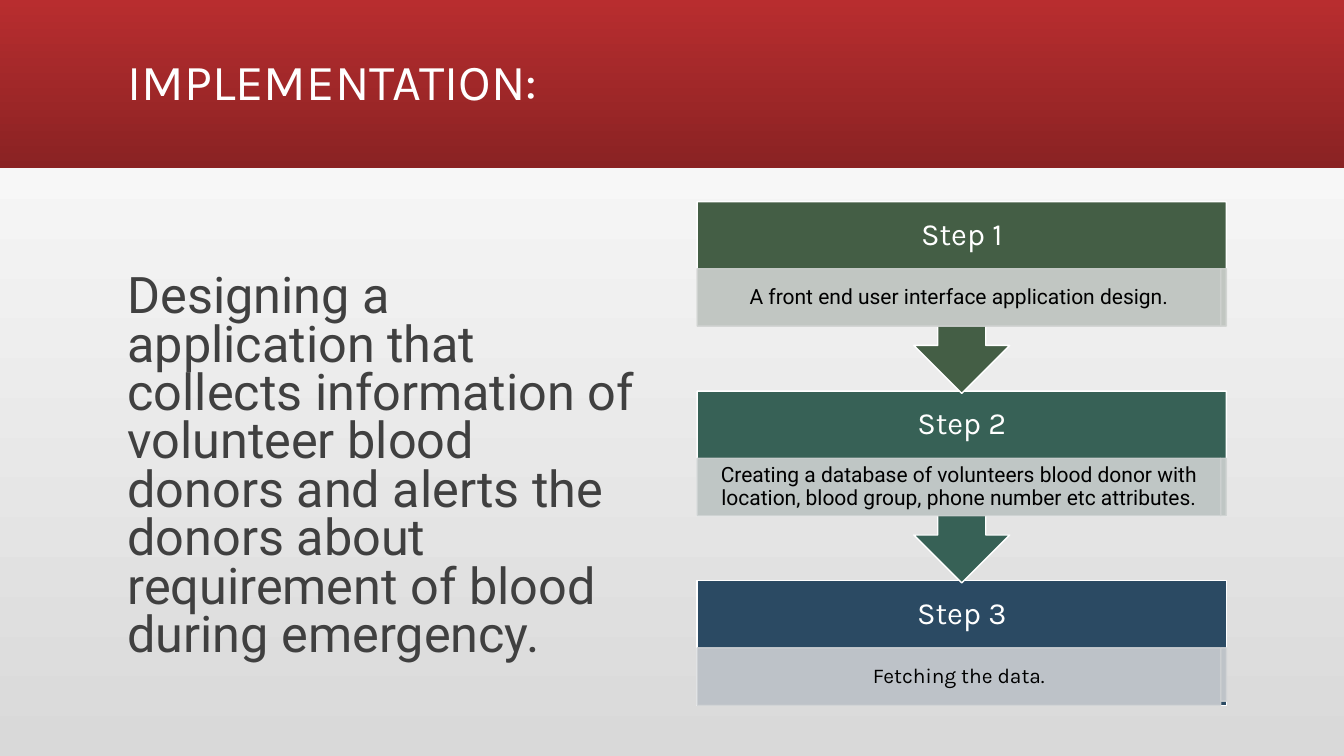
from pptx import Presentation
from pptx.util import Pt
from pptx.dml.color import RGBColor
from pptx.enum.shapes import MSO_SHAPE
from pptx.enum.text import MSO_ANCHOR, PP_ALIGN
from lxml.etree import SubElement
from pptx.oxml.ns import qn

TITLE = "IMPLEMENTATION:"
BODY = ("Designing a application that collects information of volunteer blood donors "
        "and alerts the donors about requirement of blood during emergency.")
# heading, detail, detail font, block colour, strip colour, edge colour
STEPS = [
    ("Step 1", "A front end user interface application design.",
     "Roboto", "445E45", "CFD2D0", "CFD2CF"),
    ("Step 2", "Creating a database of volunteers blood donor with location, "
               "blood group, phone number etc attributes.",
     "Roboto", "376156", "CED2D2", "CED2D1"),
    ("Step 3", "Fetching the data.",
     "Karla", "2B4A63", "CDD0D3", "CED1D3"),
]
THEME = {
    "heading": "Karla", "text": "Roboto",
    "white": "FFFFFF", "black": "000000", "grey": "404040",
    "banner": ("B82D2F", "8A2223"), "page": ("FFFFFF", "D9D9D9"),
    "large": 36, "step": 22, "detail": 15,
}

LEFT, TOP, WIDTH, PITCH = 498, 144, 378, 135.4
HEAD_H, STRIP_H, EDGE_W = 48, 41, 4
BLOCK_H, CALLOUT_H = HEAD_H + STRIP_H, 137


def rgb(name):
    return RGBColor.from_string(THEME.get(name, name))


def shade(fill, colors):
    """Vertical gradient from the first colour down to the second."""
    fill.gradient()
    fill.gradient_angle = 270
    for stop, position, color in zip(fill.gradient_stops, (0, 1), colors):
        stop.position = position
        stop.color.rgb = rgb(color)


def add_block(s, kind, box, color, line=None, alpha=None):
    sp = s.shapes.add_shape(kind, *map(Pt, box))
    sp.shadow.inherit = False
    sp.fill.solid()
    sp.fill.fore_color.rgb = rgb(color)
    sp.line.color.rgb = rgb(line or color)
    sp.line.width = Pt(1)
    if alpha:
        for clr in sp._element.spPr.iter(qn("a:srgbClr")):
            SubElement(clr, qn("a:alpha")).set("val", str(alpha * 1000))
    return sp


def write(sp, text, font, size, color, spacing=0.9, align=PP_ALIGN.CENTER,
          anchor=MSO_ANCHOR.MIDDLE, insets=(7.2, 3.6)):
    tf = sp.text_frame
    tf.word_wrap = True
    tf.vertical_anchor = anchor
    tf.margin_left = tf.margin_right = Pt(insets[0])
    tf.margin_top = tf.margin_bottom = Pt(insets[1])
    p = tf.paragraphs[0]
    p.text = text
    p.alignment = align
    p.line_spacing = spacing
    p.font.name = font
    p.font.size = Pt(size)
    p.font.color.rgb = rgb(color)


def add_text(s, box, *args, **kwargs):
    write(s.shapes.add_textbox(*map(Pt, box)), *args, **kwargs)


def add_step(s, index):
    heading, detail, font, color, strip_color, edge_color = STEPS[index]
    y = TOP + index * PITCH
    last = index == len(STEPS) - 1
    kind = MSO_SHAPE.RECTANGLE if last else MSO_SHAPE.DOWN_ARROW_CALLOUT
    height = BLOCK_H if last else CALLOUT_H
    add_block(s, kind, (LEFT, y, WIDTH, height), color, "white")
    add_text(s, (LEFT, y, WIDTH, HEAD_H), heading, THEME["heading"],
             THEME["step"], "white", insets=(12, 12))

    strip_y, strip_w = y + HEAD_H, WIDTH - EDGE_W
    strip = add_block(s, MSO_SHAPE.RECTANGLE, (LEFT, strip_y, strip_w, STRIP_H),
                      strip_color, alpha=90)
    write(strip, detail, font, THEME["detail"], "black", insets=(8.5, 1.5))
    edge_h = STRIP_H - 3 if last else STRIP_H
    add_block(s, MSO_SHAPE.RECTANGLE, (LEFT + strip_w, strip_y, EDGE_W, edge_h),
              edge_color, alpha=90)


def main():
    prs = Presentation()
    prs.slide_width, prs.slide_height = Pt(960), Pt(540)
    s = prs.slides.add_slide(prs.slide_layouts[6])
    shade(s.background.fill, THEME["page"])

    banner = add_block(s, MSO_SHAPE.RECTANGLE, (0, 0, 960, 120), "white")
    shade(banner.fill, THEME["banner"])
    banner.line.fill.background()

    add_text(s, (84, 8, 792, 104), TITLE, THEME["heading"], THEME["large"],
             "white", align=PP_ALIGN.LEFT)
    add_text(s, (84, 193, 378, 311), BODY, THEME["text"], THEME["large"], "grey",
             spacing=0.8, align=PP_ALIGN.LEFT, anchor=MSO_ANCHOR.TOP)

    # Last step first, so each arrow tip lies over the block below it
    for index in reversed(range(len(STEPS))):
        add_step(s, index)
    prs.save("out.pptx")


if __name__ == "__main__":
    main()
